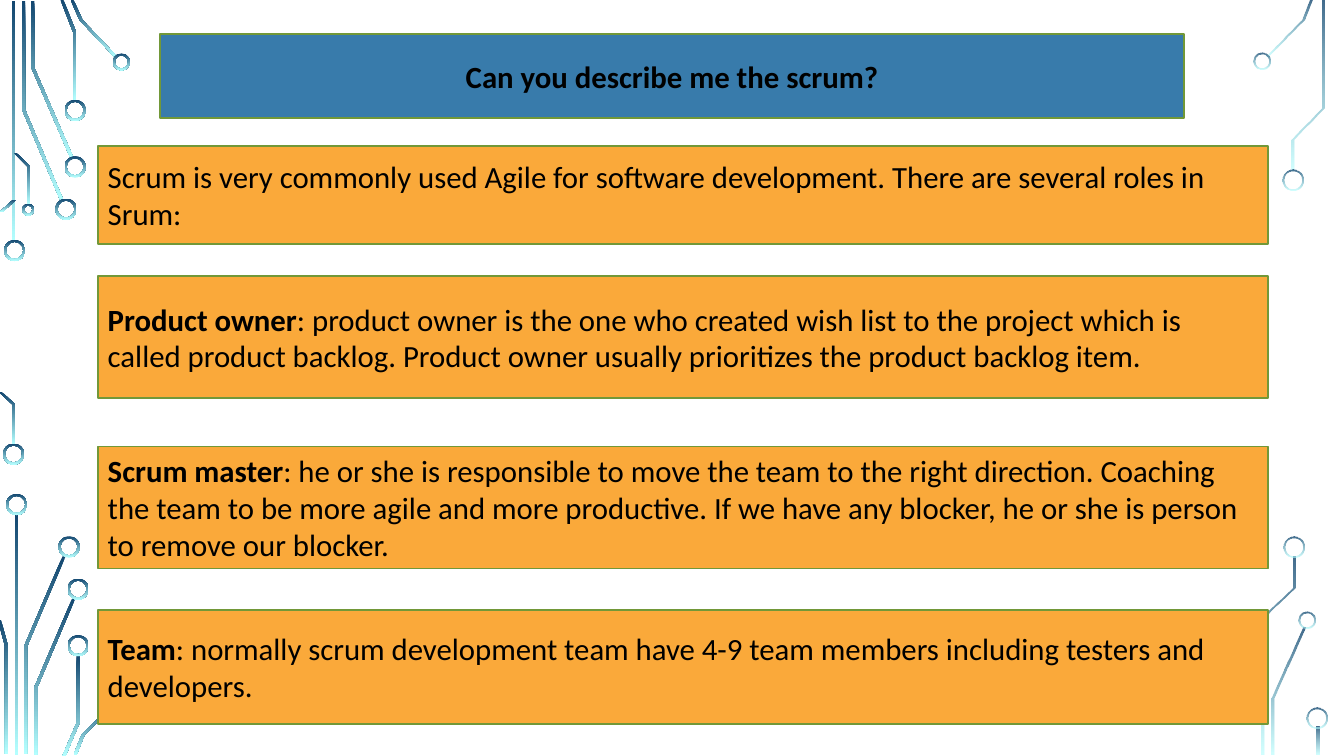
from lxml.etree import SubElement
from pptx import Presentation
from pptx.dml.color import RGBColor
from pptx.enum.shapes import MSO_SHAPE
from pptx.enum.text import MSO_ANCHOR, PP_ALIGN
from pptx.oxml.ns import qn
from pptx.util import Inches, Pt

HUES = {"deep": "134770", "pale": "B4FFFF", "blue": "387BAB",
        "gold": "FAA93A", "edge": "729838", "ink": "000000"}

LEFT_LINES = [
    [(0.12, 0.01), (0.12, 2.4)],
    [(0.22, 0.01), (0.22, 1.09), (0.6, 1.99)],
    [(0.31, 0.01), (0.31, 0.67), (0.7, 1.57)],
    [(0.6, 0), (0.73, 0.33), (0.73, 1)],
    [(0.7, 0), (0.79, 0.2), (1.14, 0.57)],
    [(0.13, 1.98), (0, 2.1)],
    [(-0.01, 3.89), (0.12, 4.01), (0.12, 4.41)],
    [(0.14, 1.52), (0.27, 1.65), (0.27, 2.03)],
    [(0.15, 5.1), (0.15, 7.49)],
    [(0.62, 5.52), (0.24, 6.41), (0.24, 7.48)],
    [(-0.02, 6.15), (0.05, 6.41), (0.05, 7.48)],
    [(0.72, 5.93), (0.34, 6.82), (0.34, 7.49)],
    [(0.76, 6.5), (0.76, 7.17), (0.62, 7.5)],
    [(1.17, 6.93), (0.81, 7.29), (0.73, 7.49)],
]
RIGHT_LINES = [
    [(12.99, 0), (12.91, 0.2), (12.55, 0.56)],
    [(12.92, 6.23), (12.61, 6.93), (12.61, 7.49)],
    [(13.11, 0.01), (13.11, 1.07), (12.81, 1.38), (12.81, 1.69)],
    [(12.82, 5.52), (12.82, 5.83), (12.51, 6.13), (12.51, 7.49)],
    [(13.06, 7.21), (13.06, 7.49)],
]
LEFT_RINGS = [
    (0.04, 2.38, 0.21), (0.03, 4.4, 0.21), (0.55, 1.97, 0.21),
    (0.64, 1.55, 0.21), (0.64, 0.99, 0.21), (1.12, 0.53, 0.17),
    (0.22, 2.02, 0.12), (0.06, 4.9, 0.21), (0.58, 5.32, 0.21),
    (0.67, 5.74, 0.21), (0.67, 6.3, 0.21),
]
RIGHT_RINGS = [
    (12.43, 0.52, 0.17), (12.72, 1.68, 0.21), (12.88, 6.07, 0.17),
    (12.73, 5.32, 0.21), (12.96, 7.02, 0.21),
]
ROLES = [
    (1.45, 0.97, "", "Scrum is very commonly used Agile for software development. "
     "There are several roles in Srum:"),
    (2.74, 1.21, "Product owner", ": product owner is the one who created wish list "
     "to the project which is called product backlog. Product owner usually "
     "prioritizes the product backlog item."),
    (4.43, 1.21, "Scrum master", ": he or she is responsible to move the team to the "
     "right direction. Coaching the team to be more agile and more productive. If we "
     "have any blocker, he or she is person to remove our blocker."),
    (6.05, 1.13, "Team", ": normally scrum development team have 4-9 team members "
     "including testers and developers."),
]


def tint(name):
    return RGBColor.from_string(HUES[name])


def write(para, text, bold=False, size=22, font="Calibri", hue="ink", align=PP_ALIGN.LEFT):
    para.alignment = align
    run = para.add_run()
    run.text = text
    run.font.name, run.font.size, run.font.bold = font, Pt(size), bold
    run.font.color.rgb = tint(hue)


class Board:
    """Holds the style and the current slide."""

    def __init__(self, deck, wide=0.03, band=0.02, edge=1.25):
        self.slide = deck.slides.add_slide(deck.slide_layouts[5])
        self.shapes = self.slide.shapes
        self.wide, self.band, self.edge = wide, band, edge

    def fade(self, shape, clear):
        shape.shadow.inherit = False
        shape.line.fill.background()
        shape.fill.gradient()
        shape.fill.gradient_angle = 270
        for stop, name, place in zip(shape.fill.gradient_stops, ("deep", "pale"), (0, 1)):
            stop.color.rgb = tint(name)
            stop.position = place
        if clear:
            for node, share in zip(shape.element.iter(qn("a:srgbClr")), (80, 60)):
                SubElement(node, qn("a:alpha")).set("val", str(share * 1000))

    def trace(self, points, clear=False):
        back = [(x + self.wide, y) for x, y in reversed(points)]
        spots = [(Inches(x), Inches(y)) for x, y in points + back]
        pen = self.shapes.build_freeform(*spots[0])
        pen.add_line_segments(spots[1:], close=True)
        self.fade(pen.convert_to_shape(), clear)

    def ring(self, left, top, size, clear=False):
        shape = self.shapes.add_shape(
            MSO_SHAPE.DONUT, Inches(left), Inches(top), Inches(size), Inches(size))
        shape.adjustments[0] = self.band / size
        self.fade(shape, clear)

    def dress(self, shape, hue):
        shape.fill.solid()
        shape.fill.fore_color.rgb = tint(hue)
        shape.line.color.rgb = tint("edge")
        shape.line.width = Pt(self.edge)
        frame = shape.text_frame
        frame.word_wrap = True
        frame.vertical_anchor = MSO_ANCHOR.MIDDLE
        return frame.paragraphs[0]

    def title(self, text, left, top, width, height):
        shape = self.shapes.title
        shape.left, shape.top = Inches(left), Inches(top)
        shape.width, shape.height = Inches(width), Inches(height)
        write(self.dress(shape, "blue"), text, bold=True, align=PP_ALIGN.CENTER)

    def box(self, top, height, head, body, left=0.97, width=11.61):
        shape = self.shapes.add_shape(
            MSO_SHAPE.RECTANGLE, Inches(left), Inches(top), Inches(width), Inches(height))
        shape.shadow.inherit = False
        para = self.dress(shape, "gold")
        if head:
            write(para, head, bold=True)
        write(para, body)


def main():
    deck = Presentation()
    deck.slide_width, deck.slide_height = Inches(13.33), Inches(7.5)
    board = Board(deck)
    for lines, rings, clear in ((LEFT_LINES, LEFT_RINGS, False),
                                (RIGHT_LINES, RIGHT_RINGS, True)):
        for points in lines:
            board.trace(points, clear)
        for spot in rings:
            board.ring(*spot, clear)
    board.title("Can you describe me the scrum?", 1.59, 0.34, 10.15, 0.83)
    for role in ROLES:
        board.box(*role)
    deck.save("out.pptx")


if __name__ == "__main__":
    main()
